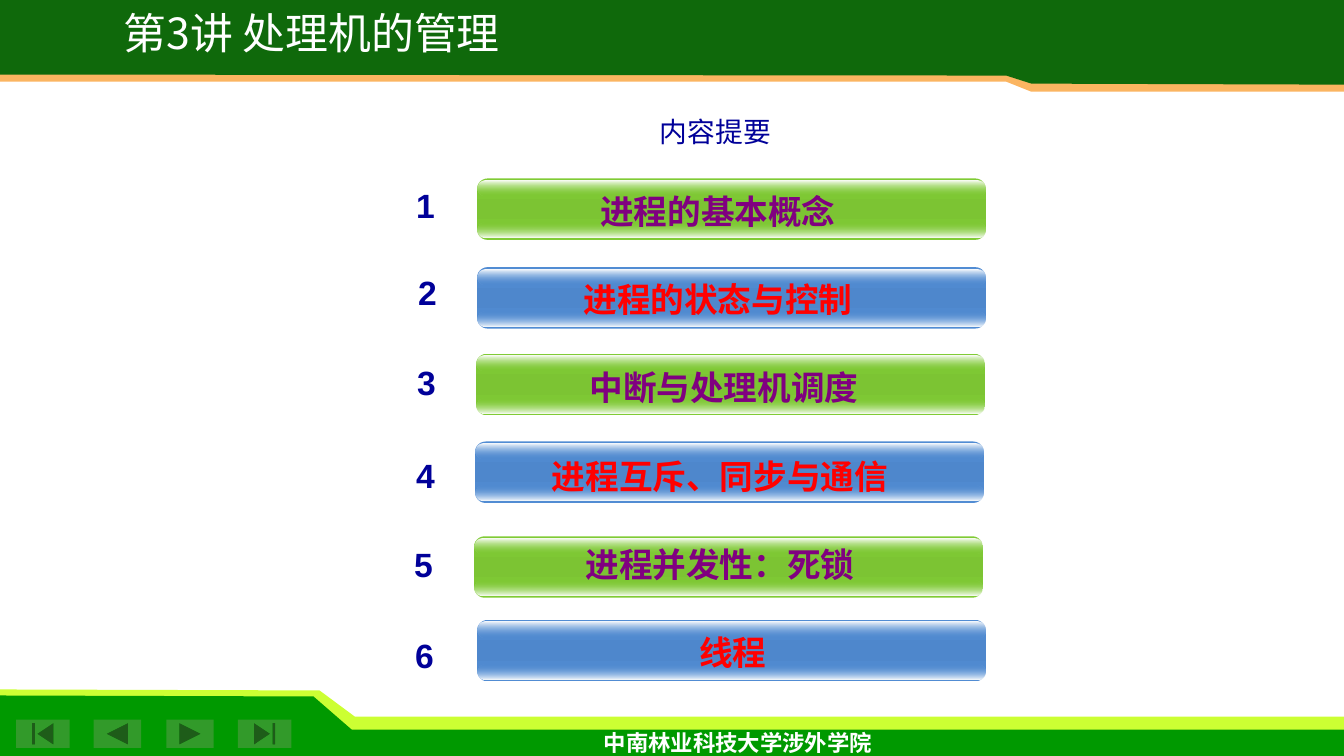
from lxml import etree
from pptx import Presentation
from pptx.dml.color import RGBColor
from pptx.enum.shapes import MSO_SHAPE
from pptx.enum.text import MSO_ANCHOR, MSO_AUTO_SIZE, PP_ALIGN
from pptx.oxml.ns import qn
from pptx.util import Inches, Pt

# The slide is a grid of 1333 columns by 750 rows
GRID = Inches(0.01)
COLS, ROWS = 1333, 750

WHITE = RGBColor(0xFF, 0xFF, 0xFF)
NAVY = RGBColor(0x00, 0x00, 0x99)
PURPLE = RGBColor(0x80, 0x00, 0x80)
RED = RGBColor(0xFF, 0x00, 0x00)
LIME = RGBColor(0xCC, 0xFF, 0x33)
GREEN = RGBColor(0x00, 0x99, 0x00)
DARK_GREEN = RGBColor(0x0F, 0x69, 0x0B)
ORANGE = RGBColor(0xFB, 0xB5, 0x61)
BUTTON = RGBColor(0x32, 0x9A, 0x2A)
BAR_GREEN = RGBColor(0x80, 0xCB, 0x35)
BAR_GREEN_MID = RGBColor(0x7C, 0xC4, 0x33)
BAR_BLUE = RGBColor(0x51, 0x8C, 0xD3)
BAR_BLUE_MID = RGBColor(0x4E, 0x87, 0xCC)
CJK = "Noto Sans CJK SC"


def paint(sp, *stops):
    """Fill sp with one colour, or downwards through (colour, opacity %) stops."""
    sp.shadow.inherit = False
    sp.line.fill.background()
    if len(stops) == 1:
        sp.fill.solid()
        sp.fill.fore_color.rgb = stops[0]
        return
    sp.fill.gradient()
    sp.fill.gradient_angle = 270
    gs_list = sp._element.spPr.find(".//" + qn("a:gsLst"))
    for gs in list(gs_list):
        gs_list.remove(gs)
    for i, (color, opacity) in enumerate(stops):
        gs = etree.SubElement(gs_list, qn("a:gs"), pos=str(100000 * i // (len(stops) - 1)))
        clr = etree.SubElement(gs, qn("a:srgbClr"), val=str(color))
        if opacity < 100:
            etree.SubElement(clr, qn("a:alpha"), val=str(opacity * 1000))


def add_text(text, box, sp=None, size=24, font="Arial", color=NAVY, bold=True, spacing=None):
    """Write centred text in sp, or in a new text box, placed at box."""
    sp = sp or s.shapes.add_textbox(0, 0, 0, 0)
    sp.left, sp.top, sp.width, sp.height = [v * GRID for v in box]
    tf = sp.text_frame
    tf.word_wrap = True
    tf.auto_size = MSO_AUTO_SIZE.NONE
    tf.vertical_anchor = MSO_ANCHOR.TOP
    p = tf.paragraphs[0]
    p.alignment = PP_ALIGN.CENTER
    p.line_spacing = spacing
    r = p.add_run()
    r.text = text
    r.font.size, r.font.name, r.font.bold = Pt(size), font, bold
    r.font.color.rgb = color
    etree.SubElement(r._r.get_or_add_rPr(), qn("a:ea"), typeface=CJK)


prs = Presentation()
prs.slide_width, prs.slide_height = COLS * GRID, ROWS * GRID
s = prs.slides.add_slide(prs.slide_layouts[5])

# Header and footer bands
bands = [
    (LIME, [(0, 740), (COLS, 740), (COLS, 711), (352, 711), (317, 685), (0, 684)]),
    (GREEN, [(0, ROWS), (COLS, ROWS), (COLS, 724), (349, 724), (311, 691), (0, 690)]),
    (ORANGE, [(COLS, 0), (0, 0), (0, 81), (998, 81), (1023, 91), (COLS, 91)]),
    (DARK_GREEN, [(COLS, 0), (0, 0), (0, 74), (998, 75), (1023, 83), (COLS, 84)]),
]
for color, points in bands:
    outline = s.shapes.build_freeform(*points[0], scale=GRID)
    outline.add_line_segments(points[1:], close=True)
    paint(outline.convert_to_shape(), color)

# Navigation buttons
buttons = [
    (MSO_SHAPE.ACTION_BUTTON_BEGINNING, 16, 53),
    (MSO_SHAPE.ACTION_BUTTON_BACK_OR_PREVIOUS, 93, 47),
    (MSO_SHAPE.ACTION_BUTTON_FORWARD_OR_NEXT, 165, 47),
    (MSO_SHAPE.ACTION_BUTTON_END, 236, 53),
]
for kind, left, width in buttons:
    paint(s.shapes.add_shape(kind, *[v * GRID for v in (left, 714, width, 28)]), BUTTON)

add_text("中南林业科技大学涉外学院", (582, 718, 300, 37), size=16, font="Karla", color=WHITE)

# Title, brought in front of the header band
title = s.shapes.title
s.shapes._spTree.append(title._element)
add_text("第3讲 处理机的管理", (45, 11, 528, 55), sp=title, size=30.6, font=CJK,
         color=WHITE, bold=False, spacing=0.8)
add_text("内容提要", (627, 115, 165, 39), size=19.8, font=CJK, bold=False, spacing=0.8)

# Contents: text, bar left and top, text left and top, number left and top
topics = [
    ("进程的基本概念", 473, 177, 498, 184, 403, 179),
    ("进程的状态与控制", 473, 265, 498, 272, 405, 265),
    ("中断与处理机调度", 472, 351, 504, 359, 404, 354),
    ("进程互斥、同步与通信", 471, 438, 500, 447, 403, 446),
    ("进程并发性：死锁", 470, 532, 500, 535, 401, 535),
    ("线程", 473, 615, 513, 622, 402, 625),
]
for i, (topic, left, top, text_left, text_top, num_left, num_top) in enumerate(topics):
    edge, mid, ink = [(BAR_GREEN, BAR_GREEN_MID, PURPLE), (BAR_BLUE, BAR_BLUE_MID, RED)][i % 2]
    layers = [
        ((left, top, 505, 61), 0.175, [(edge, 100), (mid, 100), (edge, 100)]),
        ((left + 1, top + 44, 503, 15), 0.5, [(edge, 0), (WHITE, 100)]),
        ((left + 1, top + 2, 503, 15), 0.5, [(WHITE, 100), (edge, 0)]),
    ]
    for box, rounding, stops in layers:
        bar = s.shapes.add_shape(MSO_SHAPE.ROUNDED_RECTANGLE, *[v * GRID for v in box])
        bar.adjustments[0] = rounding
        paint(bar, *stops)
    add_text(topic, (text_left, text_top, 428, 50), color=ink)
    add_text(str(i + 1), (num_left, num_top, 36, 50))

prs.save("out.pptx")
